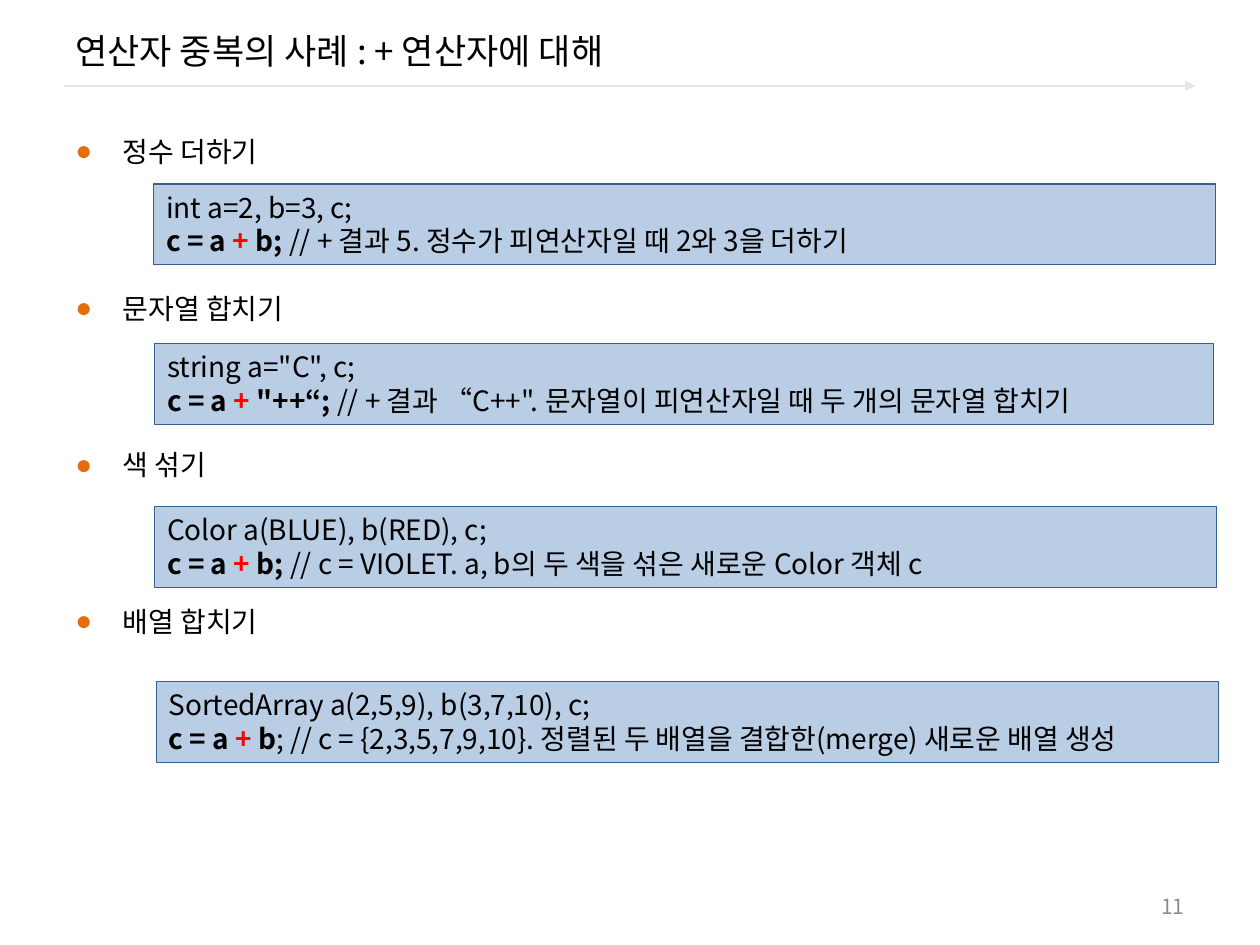
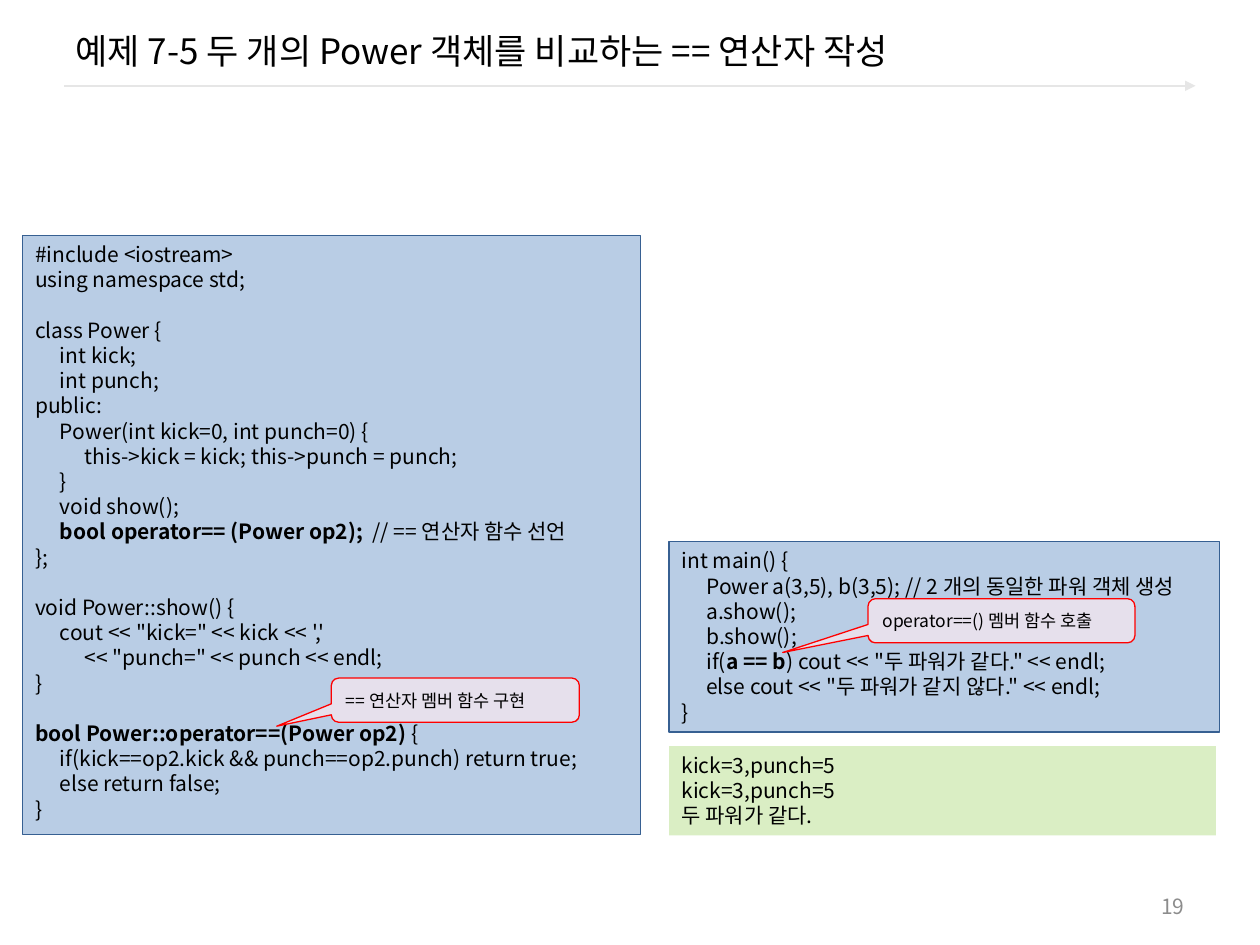
from dataclasses import dataclass

from lxml.etree import SubElement
from pptx import Presentation
from pptx.dml.color import RGBColor
from pptx.enum.shapes import MSO_CONNECTOR, MSO_SHAPE
from pptx.enum.text import MSO_ANCHOR, PP_ALIGN
from pptx.oxml import parse_xml
from pptx.oxml.ns import nsdecls, qn
from pptx.util import Cm, Pt


@dataclass(frozen=True)
class Theme:
    font: str = "Noto Sans CJK KR"
    bullet_font: str = "Arial"
    ink: str = "000000"
    muted: str = "8C8C8C"
    rule: str = "E6E6E6"
    accent: str = "FF0000"
    bullet: str = "E46C0A"
    code_fill: str = "B9CDE5"
    code_line: str = "376092"
    output_fill: str = "DAEEC4"
    callout_fill: str = "E6E0EC"
    title_size: int = 20
    heading_size: int = 16
    code_size: int = 12
    callout_size: int = 10
    line_height: float = 1.2
    tab_step: float = 0.5


THEME = Theme()


@dataclass(frozen=True)
class Box:
    left: float
    top: float
    width: float
    height: float

    def lengths(self):
        return [Cm(value) for value in (self.left, self.top, self.width, self.height)]


def color(value):
    return RGBColor.from_string(value)


def style_paragraph(para, size, ink=THEME.ink, font=THEME.font):
    para.font.size = Pt(size)
    para.font.color.rgb = color(ink)
    para.font.name = font
    defaults = para._p.pPr.find(qn("a:defRPr"))
    SubElement(defaults, qn("a:ea"), typeface=THEME.font)
    return defaults


def add_label(page, box, text, size, ink=THEME.ink, align=PP_ALIGN.LEFT):
    frame = page.shapes.add_textbox(*box.lengths()).text_frame
    frame.word_wrap = True
    frame.vertical_anchor = MSO_ANCHOR.MIDDLE
    para = frame.paragraphs[0]
    para.text = text
    para.alignment = align
    style_paragraph(para, size, ink)


def add_panel(page, kind, box, fill, line, anchor):
    shape = page.shapes.add_shape(kind, *box.lengths())
    shape.shadow.inherit = False
    shape.fill.solid()
    shape.fill.fore_color.rgb = color(fill)
    if line:
        shape.line.color.rgb = color(line)
        shape.line.width = Pt(0.75)
    else:
        shape.line.fill.background()
    shape.text_frame.word_wrap = True
    shape.text_frame.vertical_anchor = anchor
    return shape


def add_code_line(para, line, size):
    for index, part in enumerate(line.split("|")):
        if part:
            span = para.add_run()
            span.text = part
            if index % 2:
                span.font.bold = True
                if part == "+":
                    span.font.color.rgb = color(THEME.accent)
    para.alignment = PP_ALIGN.LEFT
    para.line_spacing = Pt(size * THEME.line_height)
    defaults = style_paragraph(para, size)
    if "\t" in line:
        tabs = parse_xml(f"<a:tabLst {nsdecls('a')}/>")
        for stop in (1, 2):
            SubElement(tabs, qn("a:tab"), pos=str(Cm(stop * THEME.tab_step)), algn="l")
        defaults.addprevious(tabs)


def add_code(page, box, blocks, size=THEME.code_size, fill=THEME.code_fill, line=THEME.code_line):
    frame = add_panel(page, MSO_SHAPE.RECTANGLE, box, fill, line, MSO_ANCHOR.TOP).text_frame
    para = frame.paragraphs[0]
    for block_index, block in enumerate(blocks):
        for line_index, code in enumerate(block):
            if block_index or line_index:
                para = frame.add_paragraph()
            add_code_line(para, code, size)
            if block_index and not line_index:
                para.space_before = Pt(size * THEME.line_height)


def add_callout(page, box, text, tip):
    shape = add_panel(page, MSO_SHAPE.ROUNDED_RECTANGULAR_CALLOUT, box,
                      THEME.callout_fill, THEME.accent, MSO_ANCHOR.MIDDLE)
    shape.adjustments[0], shape.adjustments[1] = tip
    para = shape.text_frame.paragraphs[0]
    para.text = text
    para.alignment = PP_ALIGN.LEFT
    style_paragraph(para, THEME.callout_size)


def add_headings(page, box, headings, pitch):
    frame = page.shapes.add_textbox(*box.lengths()).text_frame
    frame.word_wrap = True
    height = THEME.heading_size * THEME.line_height
    for index, heading in enumerate(headings):
        para = frame.add_paragraph() if index else frame.paragraphs[0]
        para.text = heading
        para.line_spacing = Pt(height)
        para.space_after = Pt(pitch - height)
        defaults = style_paragraph(para, THEME.heading_size, font=THEME.bullet_font)
        properties = para._p.pPr
        properties.set("marL", str(Cm(0.96)))
        properties.set("indent", str(Cm(-0.96)))
        for mark in (
            f'<a:buClr {nsdecls("a")}><a:srgbClr val="{THEME.bullet}"/></a:buClr>',
            f'<a:buFont {nsdecls("a")} typeface="{THEME.bullet_font}"/>',
            f'<a:buChar {nsdecls("a")} char="●"/>',
        ):
            defaults.addprevious(parse_xml(mark))


def add_title_rule(page):
    rule = page.shapes.add_connector(MSO_CONNECTOR.STRAIGHT, Cm(1.3), Cm(1.73), Cm(24.1), Cm(1.73))
    rule.line.color.rgb = color(THEME.rule)
    rule.line.width = Pt(1.5)
    SubElement(rule.line._get_or_add_ln(), qn("a:tailEnd"), type="triangle")
    SubElement(rule._element.spPr, qn("a:effectLst"))


def add_page(deck, title, number):
    page = deck.slides.add_slide(deck.slide_layouts[6])
    add_title_rule(page)
    add_label(page, Box(1.27, 0.2, 22.86, 1.63), title, THEME.title_size)
    add_label(page, Box(18.21, 17.86, 5.92, 0.81), number, THEME.code_size,
              THEME.muted, PP_ALIGN.RIGHT)
    return page


def build_overloading_cases(deck):
    page = add_page(deck, "연산자 중복의 사례 : + 연산자에 대해", "11")
    cases = [
        ("정수 더하기", Box(3.1, 3.71, 21.41, 1.63),
         ["int a=2, b=3, c;",
          "|c = a ||+|| b; |// + 결과 5. 정수가 피연산자일 때 2와 3을 더하기"]),
        ("문자열 합치기", Box(3.12, 6.93, 21.34, 1.63),
         ['string a="C", c;',
          '|c = a ||+|| "++“; |// + 결과 “C++". 문자열이 피연산자일 때 두 개의 문자열 합치기']),
        ("색 섞기", Box(3.12, 10.21, 21.41, 1.63),
         ["Color a(BLUE), b(RED), c;",
          "|c = a ||+|| b; |// c = VIOLET. a, b의 두 색을 섞은 새로운 Color 객체 c"]),
        ("배열 합치기", Box(3.15, 13.74, 21.41, 1.63),
         ["SortedArray a(2,5,9), b(3,7,10), c;",
          "|c = a ||+|| b|; // c = {2,3,5,7,9,10}. 정렬된 두 배열을 결합한(merge) 새로운 배열 생성"]),
    ]
    add_headings(page, Box(1.27, 2.59, 22.86, 15.29), [case[0] for case in cases], 89.5)
    for _, box, lines in cases:
        add_code(page, box, [lines], THEME.heading_size)


def build_power_comparison(deck):
    page = add_page(deck, "예제 7-5 두 개의 Power 객체를 비교하는 == 연산자 작성", "19")
    power_class = [
        ["#include <iostream>", "using namespace std;"],
        ["class Power {",
         "\tint kick;",
         "\tint punch;",
         "public:",
         "\tPower(int kick=0, int punch=0) {",
         "\t\tthis->kick = kick; this->punch = punch;",
         "\t}",
         "\tvoid show();",
         "\t|bool operator== (Power op2);|  // == 연산자 함수 선언",
         "};"],
        ["void Power::show() {",
         "\tcout << \"kick=\" << kick << ','",
         "\t\t<< \"punch=\" << punch << endl;",
         "}"],
        ["|bool Power::operator==(Power op2) |{",
         "\tif(kick==op2.kick && punch==op2.punch) return true;",
         "\telse return false;",
         "}"],
    ]
    main_function = [
        "int main() {",
        "\tPower a(3,5), b(3,5); // 2 개의 동일한 파워 객체 생성",
        "\ta.show();",
        "\tb.show();",
        '\tif(|a == b|) cout << "두 파워가 같다." << endl;',
        '\telse cout << "두 파워가 같지 않다." << endl;',
        "}",
    ]
    output = ["kick=3,punch=5"] * 2 + ["두 파워가 같다."]
    add_code(page, Box(0.46, 4.75, 12.45, 12.07), power_class)
    add_code(page, Box(13.49, 10.92, 11.1, 3.84), [main_function])
    add_code(page, Box(13.49, 15.04, 11.02, 1.8), [output], fill=THEME.output_fill, line=None)
    add_callout(page, Box(6.68, 13.67, 5, 0.89), "== 연산자 멤버 함수 구현", (-0.72, 0.59))
    add_callout(page, Box(17.5, 12.07, 5.38, 0.89), "operator==() 멤버 함수 호출", (-0.82, 0.72))


def main():
    deck = Presentation()
    deck.slide_width, deck.slide_height = Cm(25.4), Cm(19.05)
    build_overloading_cases(deck)
    build_power_comparison(deck)
    deck.save("out.pptx")


if __name__ == "__main__":
    main()
